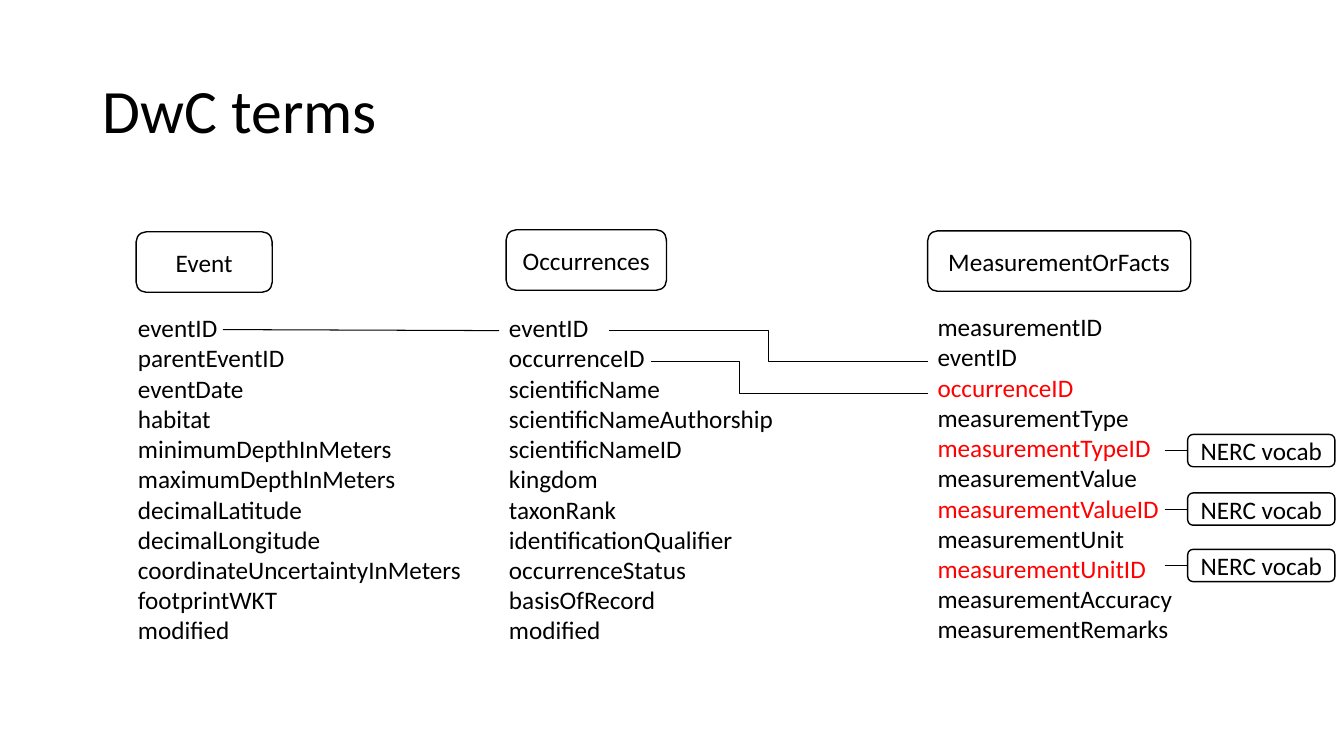
from lxml.etree import SubElement
from pptx import Presentation
from pptx.dml.color import RGBColor
from pptx.enum.shapes import MSO_CONNECTOR as Link, MSO_SHAPE as Shape
from pptx.enum.text import MSO_ANCHOR as Anchor, PP_ALIGN as Align
from pptx.oxml.ns import qn
from pptx.util import Emu, Pt

EMU_PER_PX = 9144  # 100 px to the inch
BLACK = RGBColor(0x00, 0x00, 0x00)
WHITE = RGBColor(0xFF, 0xFF, 0xFF)
RED = RGBColor(0xFF, 0x00, 0x00)

EVENT_TERMS = (
    "eventID", "parentEventID", "eventDate", "habitat", "minimumDepthInMeters",
    "maximumDepthInMeters", "decimalLatitude", "decimalLongitude",
    "coordinateUncertaintyInMeters", "footprintWKT", "modified",
)
OCCURRENCE_TERMS = (
    "eventID", "occurrenceID", "scientificName", "scientificNameAuthorship",
    "scientificNameID", "kingdom", "taxonRank", "identificationQualifier",
    "occurrenceStatus", "basisOfRecord", "modified",
)
MEASUREMENT_TERMS = (
    "measurementID", "eventID", "occurrenceID", "measurementType",
    "measurementTypeID", "measurementValue", "measurementValueID",
    "measurementUnit", "measurementUnitID", "measurementAccuracy",
    "measurementRemarks",
)
RED_TERMS = {"occurrenceID", "measurementTypeID", "measurementValueID", "measurementUnitID"}

# heading, heading place, terms, list place, terms shown in red
TABLES = (
    ("Event", (135, 230, 135, 60), EVENT_TERMS, (127, 305, 360, 343), set()),
    ("Occurrences", (502, 228, 159, 60), OCCURRENCE_TERMS, (495, 305, 350, 343), set()),
    ("MeasurementOrFacts", (920, 229, 261, 60), MEASUREMENT_TERMS, (920, 304, 319, 343), RED_TERMS),
)
VOCAB_CENTRES = (447, 505, 561)
VOCAB_LEFT, VOCAB_WIDTH, VOCAB_HEIGHT = 1178, 146, 32


def px(*lengths):
    return [Emu(length * EMU_PER_PX) for length in lengths]


class TermsPage:
    """Holds the deck's style and its current slide."""

    font = {"name": "Calibri", "size": Pt(18)}

    def __init__(self, deck):
        self.page = deck.slides.add_slide(deck.slide_layouts[5])
        self.shapes = self.page.shapes

    def add_text(self, para, text, color=BLACK, **changes):
        span = para.add_run()
        span.text = text
        for name, value in {**self.font, **changes}.items():
            setattr(span.font, name, value)
        span.font.color.rgb = color

    def title(self, text, place):
        box = self.shapes.title
        for name, value in zip(("left", "top", "width", "height"), px(*place)):
            setattr(box, name, value)
        box.text_frame.vertical_anchor = Anchor.MIDDLE
        para = box.text_frame.paragraphs[0]
        para.alignment = Align.LEFT
        para.line_spacing = 0.9
        self.add_text(para, text, size=Pt(44))

    def label(self, text, place):
        box = self.shapes.add_shape(Shape.ROUNDED_RECTANGLE, *px(*place))
        box.shadow.inherit = False
        box.fill.solid()
        box.fill.fore_color.rgb = WHITE
        box.line.color.rgb = BLACK
        box.line.width = Pt(1)
        box.text_frame.word_wrap = True
        box.text_frame.vertical_anchor = Anchor.MIDDLE
        para = box.text_frame.paragraphs[0]
        para.alignment = Align.CENTER
        self.add_text(para, text)

    def terms(self, names, place, red_names):
        frame = self.shapes.add_textbox(*px(*place)).text_frame
        frame.word_wrap = True
        for index, name in enumerate(names):
            para = frame.add_paragraph() if index else frame.paragraphs[0]
            self.add_text(para, name, RED if name in red_names else BLACK)

    def link(self, ends, kind=Link.STRAIGHT, bend=None):
        """Joins two points; bend is the share of the width before the turn."""
        line = self.shapes.add_connector(kind, *px(*ends))
        line.line.color.rgb = BLACK
        line.line.width = Pt(0.75)
        properties = line.element.spPr
        SubElement(properties, qn("a:effectLst"))
        if bend is not None:
            guides = properties.find(qn("a:prstGeom")).find(qn("a:avLst"))
            SubElement(guides, qn("a:gd"), name="adj1", fmla=f"val {round(bend * 100000)}")


def main():
    deck = Presentation()
    deck.slide_width, deck.slide_height = px(1333, 750)
    page = TermsPage(deck)
    page.title("DwC terms", (92, 40, 1150, 145))

    for heading, heading_place, names, list_place, red_names in TABLES:
        page.label(heading, heading_place)
        page.terms(names, list_place, red_names)

    page.link((221, 327, 495, 328))
    page.link((604, 328, 920, 359), Link.ELBOW, 0.5)
    page.link((646, 359, 920, 390), Link.ELBOW, 0.32)

    for centre in VOCAB_CENTRES:
        page.label("NERC vocab", (VOCAB_LEFT, centre - VOCAB_HEIGHT // 2, VOCAB_WIDTH, VOCAB_HEIGHT))
        page.link((VOCAB_LEFT - 23, centre, VOCAB_LEFT, centre))

    deck.save("out.pptx")


if __name__ == "__main__":
    main()
